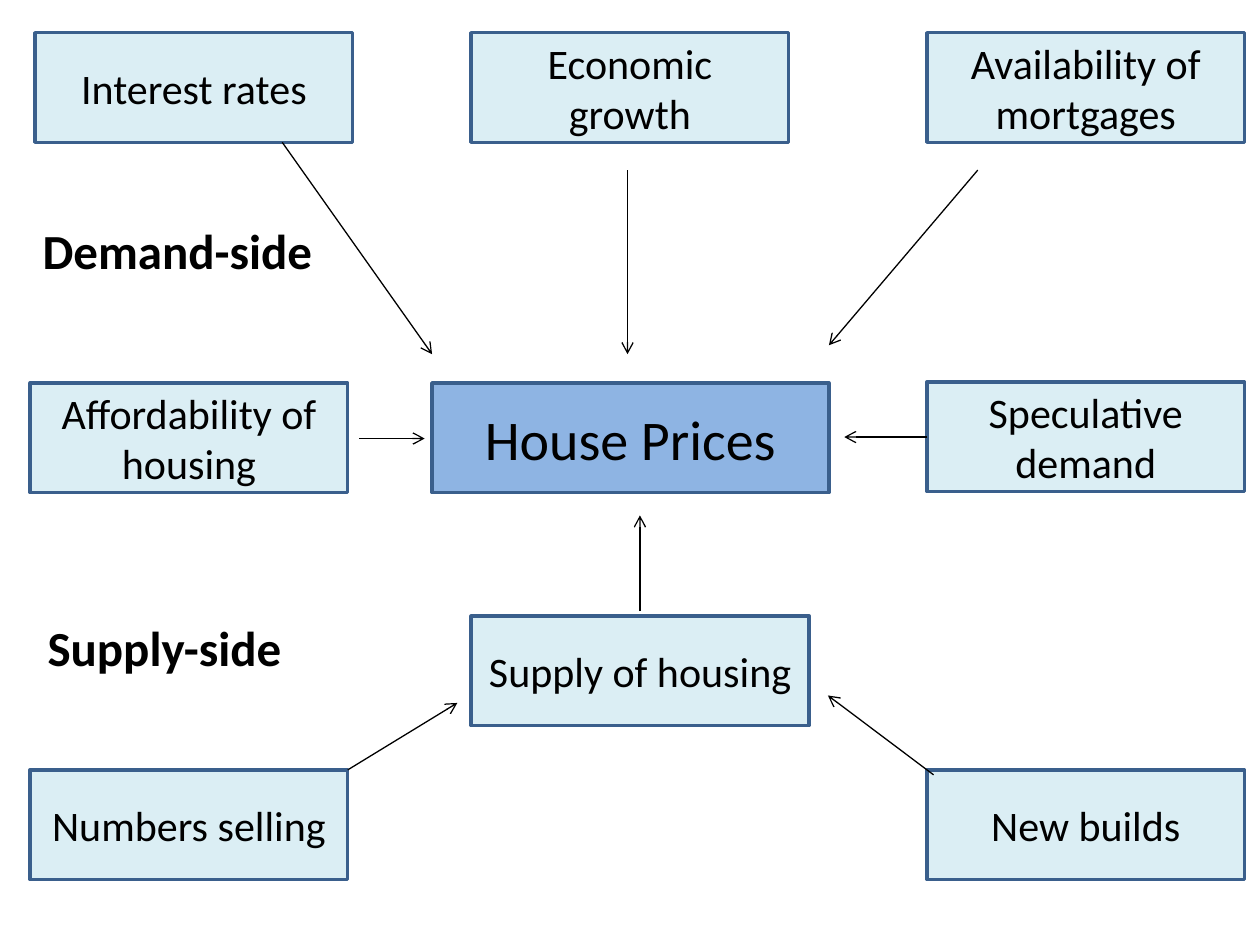
from lxml import etree
from pptx import Presentation
from pptx import util as u
from pptx.dml.color import RGBColor
from pptx.enum import shapes, text
from pptx.oxml.ns import qn

BLACK = RGBColor(0x00, 0x00, 0x00)
BORDER = RGBColor(0x3A, 0x5F, 0x8C)
PALE_BLUE = RGBColor(0xDB, 0xEE, 0xF4)
MID_BLUE = RGBColor(0x8E, 0xB4, 0xE3)
FONT = "Calibri"

# All lengths are in centimetres
LEFT, MIDDLE, RIGHT = 0.61, 9.5, 18.69
TOP, CENTRE, SUPPLY, BOTTOM = 0.66, 7.72, 12.42, 15.52
BOX_WIDTH, BOX_HEIGHT = 6.4, 2.21

# Factors: wording, left, top, width
FACTORS = [
    ("Interest rates", 0.71, TOP, BOX_WIDTH),
    ("Economic growth", MIDDLE, TOP, BOX_WIDTH),
    ("Availability of mortgages", RIGHT, TOP, BOX_WIDTH),
    ("Affordability of housing", LEFT, CENTRE, BOX_WIDTH),
    ("Speculative demand", RIGHT, 7.7, BOX_WIDTH),
    ("Supply of housing", MIDDLE, SUPPLY, 6.81),
    ("Numbers selling", LEFT, BOTTOM, BOX_WIDTH),
    ("New builds", RIGHT, BOTTOM, BOX_WIDTH),
]

# Side headings: wording, left, top, width
HEADINGS = [
    ("Demand-side", LEFT, 4.32, 6.4),
    ("Supply-side", 0.71, 12.32, 5.79),
]

# Arrows: start x, start y, end x, end y
ARROWS = [
    (5.69, 2.87, 8.71, 7.14),      # interest rates
    (12.65, 3.43, 12.65, 7.14),    # economic growth
    (19.71, 3.43, 16.71, 6.96),    # mortgages
    (7.24, 8.84, 8.56, 8.84),      # affordability
    (18.69, 8.81, 17.02, 8.81),    # speculative demand
    (12.9, 12.32, 12.9, 10.39),    # supply of housing
    (7.01, 15.52, 9.22, 14.17),    # numbers selling
    (18.82, 15.62, 16.69, 14.02),  # new builds
]


def write(shape, wording, size, bold=False, align=text.PP_ALIGN.LEFT):
    shape.text_frame.word_wrap = True
    paragraph = shape.text_frame.paragraphs[0]
    paragraph.text = wording
    paragraph.alignment = align
    paragraph.font.name = FONT
    paragraph.font.size = u.Pt(size)
    paragraph.font.bold = bold
    paragraph.font.color.rgb = BLACK


def add_box(slide, wording, left, top, width, fill=PALE_BLUE, size=24):
    shape = slide.shapes.add_shape(
        shapes.MSO_SHAPE.RECTANGLE,
        u.Cm(left), u.Cm(top), u.Cm(width), u.Cm(BOX_HEIGHT))
    shape.shadow.inherit = False
    shape.fill.solid()
    shape.fill.fore_color.rgb = fill
    shape.line.color.rgb = BORDER
    shape.line.width = u.Pt(2)
    shape.text_frame.vertical_anchor = text.MSO_ANCHOR.MIDDLE
    write(shape, wording, size, align=text.PP_ALIGN.CENTER)


def add_heading(slide, wording, left, top, width):
    shape = slide.shapes.add_textbox(
        u.Cm(left), u.Cm(top), u.Cm(width), u.Cm(1.45))
    write(shape, wording, 28, bold=True)
    shape.text_frame.auto_size = text.MSO_AUTO_SIZE.SHAPE_TO_FIT_TEXT


def add_arrow(slide, *ends):
    connector = slide.shapes.add_connector(
        shapes.MSO_CONNECTOR.STRAIGHT, *map(u.Cm, ends))
    connector.line.color.rgb = BLACK
    connector.line.width = u.Pt(0.75)
    properties = connector._element.spPr
    etree.SubElement(properties.find(qn("a:ln")), qn("a:tailEnd"), type="arrow")
    etree.SubElement(properties, qn("a:effectLst"))


def main():
    presentation = Presentation()
    presentation.slide_width, presentation.slide_height = u.Cm(25.4), u.Cm(19.05)
    slide = presentation.slides.add_slide(presentation.slide_layouts[6])

    # Central outcome, then the factors around it
    add_box(slide, "House Prices", 8.71, CENTRE, 8, MID_BLUE, 32)
    for factor in FACTORS:
        add_box(slide, *factor)
    for heading in HEADINGS:
        add_heading(slide, *heading)
    for arrow in ARROWS:
        add_arrow(slide, *arrow)

    presentation.save("out.pptx")


if __name__ == "__main__":
    main()
